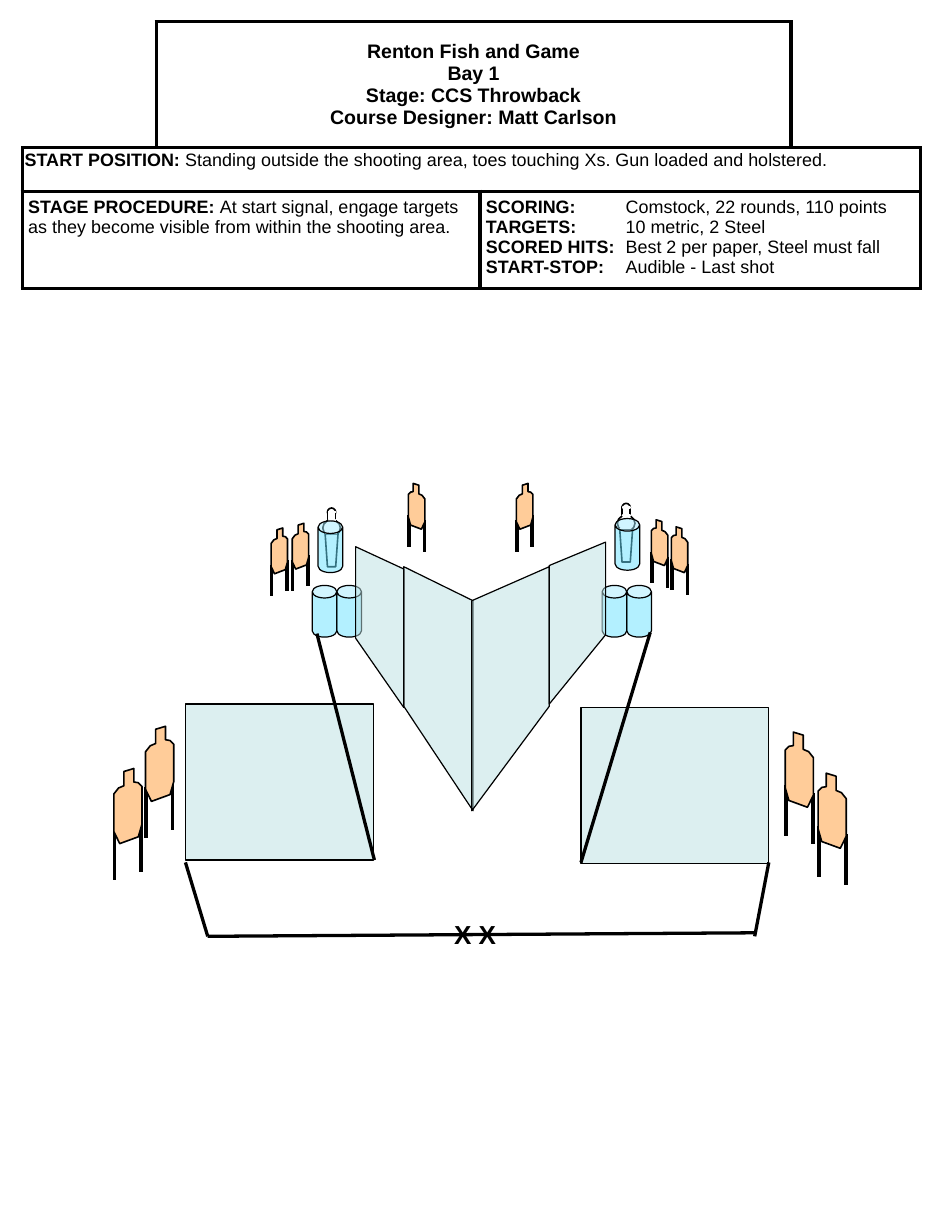
"""Build a one-page shooting stage plan with a briefing table and a course diagram."""
from lxml.etree import SubElement
from pptx import Presentation
from pptx.dml.color import RGBColor
from pptx.enum.shapes import MSO_CONNECTOR as CONN, MSO_SHAPE as SHAPE
from pptx.enum.text import MSO_ANCHOR as ANCHOR, PP_ALIGN as ALIGN
from pptx.oxml.ns import qn
from pptx.util import Inches, Pt

BLACK = RGBColor(0x00, 0x00, 0x00)
WHITE = RGBColor(0xFF, 0xFF, 0xFF)
WALL = RGBColor(0xBB, 0xE0, 0xE3)
BARREL = RGBColor(0x69, 0xE2, 0xFF)
TAN = RGBColor(0xFF, 0xCC, 0x99)

COLS = [1.14, 2.76, 2.65, 1.1]
ROWS = [1.08, 0.37, 0.83]
TITLE = ["Renton Fish and Game", "Bay 1", "Stage: CCS Throwback",
         "Course Designer: Matt Carlson"]
START = [("START POSITION:", " Standing outside the shooting area, toes touching Xs. "
          "Gun loaded and holstered.")]
PROCEDURE = [("STAGE PROCEDURE: ", "At start signal, engage targets as they become "
              "visible from within the shooting area.")]
SCORING = [("SCORING:", "\tComstock, 22 rounds, 110 points"),
           ("TARGETS:", "\t10 metric, 2 Steel"),
           ("SCORED HITS:", "\tBest 2 per paper, Steel must fall"),
           ("START-STOP:", "\tAudible - Last shot")]
CELLS = [
    dict(row=0, first=0, last=0, sides="RB"),
    dict(row=0, first=1, last=2, text=[(t, "") for t in TITLE], size=12,
         align=ALIGN.CENTER, anchor=ANCHOR.MIDDLE),
    dict(row=0, first=3, last=3, sides="LB"),
    dict(row=1, first=0, last=3, text=START, insets=(0.02, 0.04), spacing=0.9),
    dict(row=2, first=0, last=1, text=PROCEDURE),
    dict(row=2, first=2, last=3, text=SCORING, tab=1.19),
]

POPPERS = [(5.26, 4.29), (2.75, 4.33)]
INNER_WALLS = [
    [(3.44, 6.02), (4.03, 6.91), (4.03, 5.12), (3.44, 4.83)],
    [(4.68, 6.02), (4.02, 6.91), (4.02, 5.12), (4.68, 4.83)],
]
OUTER_WALLS = [
    [(3.03, 5.44), (3.44, 6.03), (3.44, 4.85), (3.03, 4.66)],
    [(5.16, 5.41), (4.68, 6), (4.68, 4.82), (5.16, 4.62)],
]
SIDE_WALLS = [(1.58, 6), (4.95, 6.03)]
BARRELS = [(2.66, 4.99), (2.87, 4.99), (5.13, 4.99), (5.34, 4.99),
           (2.71, 4.44), (5.24, 4.42)]
FAULT_LINES = [
    [(1.77, 7.98), (1.58, 7.35)], [(6.43, 7.98), (6.55, 7.35)],
    [(1.77, 7.98), (6.43, 7.95)],
    [(3.19, 7.33), (2.7, 5.4)], [(4.95, 7.35), (5.54, 5.39)],
]

SMALL, LARGE = (0.14, 0.39), (0.24, 0.64)
TARGETS = [
    (2.31, 4.5, SMALL, False), (2.49, 4.46, SMALL, False),
    (1.24, 6.19, LARGE, False), (0.97, 6.55, LARGE, False),
    (6.69, 6.24, LARGE, True), (6.97, 6.59, LARGE, True),
    (5.55, 4.43, SMALL, True), (5.72, 4.49, SMALL, True),
    (3.48, 4.12, SMALL, True), (4.4, 4.12, SMALL, False),
]
TARGET_OUTLINE = [(0.36, 0.04), (0.71, 0), (0.71, 0.18), (0.87, 0.19), (1, 0.24),
                  (1, 0.74), (0.87, 0.91), (0.21, 1), (0, 0.84), (0, 0.34),
                  (0.17, 0.26), (0.36, 0.23)]
TARGET_LEGS = [(0.02, 0.81, 1.49), (0.96, 0.7, 1.38)]


def style(sp, fill, line=BLACK, width=0.75, alpha=None):
    sp.shadow.inherit = False
    sp.fill.solid()
    sp.fill.fore_color.rgb = fill
    if alpha:
        color = sp.fill._xPr.find(qn("a:solidFill"))[0]
        SubElement(color, qn("a:alpha"), val=str(alpha * 1000))
    if line is None:
        sp.line.fill.background()
    else:
        sp.line.color.rgb = line
        sp.line.width = Pt(width)
    return sp


def shape(shapes, kind, x, y, w, h, *args, **kwargs):
    sp = shapes.add_shape(kind, *map(Inches, (x, y, w, h)))
    return style(sp, *args, **kwargs)


def outline(shapes, points, *args, **kwargs):
    first, *rest = [(Inches(x), Inches(y)) for x, y in points]
    builder = shapes.build_freeform(*first)
    builder.add_line_segments(rest, close=True)
    return style(builder.convert_to_shape(), *args, **kwargs)


def line(shapes, start, end, width):
    c = shapes.add_connector(CONN.STRAIGHT, *map(Inches, (*start, *end)))
    c.line.color.rgb = BLACK
    c.line.width = Pt(width)
    SubElement(c._element.spPr, qn("a:effectLst"))


def write(p, text, size, bold):
    r = p.add_run()
    r.text = text
    for name, value in dict(name="Arial", size=Pt(size), bold=bold).items():
        setattr(r.font, name, value)
    r.font.color.rgb = BLACK


def border(cell, sides):
    for side in sides:
        ln = SubElement(cell._tc.get_or_add_tcPr(), qn("a:ln" + side), w=str(Pt(2.25)))
        SubElement(SubElement(ln, qn("a:solidFill")), qn("a:srgbClr"), val=str(BLACK))


def add_briefing(shapes):
    frame = shapes.add_table(len(ROWS), len(COLS), Inches(0.19), Inches(0.18),
                             Inches(sum(COLS)), Inches(sum(ROWS)))
    table = frame.table
    table.first_row = table.horz_banding = False
    for col, w in zip(table.columns, COLS):
        col.width = Inches(w)
    for row, h in zip(table.rows, ROWS):
        row.height = Inches(h)
    for item in CELLS:
        row, first, last = item["row"], item["first"], item["last"]
        cell = table.cell(row, first)
        if last > first:
            cell.merge(table.cell(row, last))
        for col in range(first, last + 1):
            part = table.cell(row, col)
            border(part, item.get("sides", "LRTB"))
            part.fill.solid()
            part.fill.fore_color.rgb = WHITE
        side, top = map(Inches, item.get("insets", (0.05, 0.05)))
        cell.margin_left = cell.margin_right = side
        cell.margin_top = cell.margin_bottom = top
        cell.vertical_anchor = item.get("anchor", ANCHOR.TOP)
        tf = cell.text_frame
        for i, (label, value) in enumerate(item.get("text", [])):
            p = tf.add_paragraph() if i else tf.paragraphs[0]
            if "tab" in item:
                tabs = SubElement(p._p.get_or_add_pPr(), qn("a:tabLst"))
                SubElement(tabs, qn("a:tab"), pos=str(Inches(item["tab"])), algn="l")
            p.alignment = item.get("align", ALIGN.LEFT)
            p.line_spacing = item.get("spacing", 1.0)
            size = item.get("size", 11)
            write(p, label, size, True)
            if value:
                write(p, value, size, False)


def add_popper(shapes, x, y):
    g = shapes.add_group_shape().shapes
    shape(g, SHAPE.OVAL, x + 0.04, y, 0.07, 0.07, WHITE, width=1)
    shape(g, SHAPE.OVAL, x, y + 0.1, 0.15, 0.14, WHITE, width=1)
    body = [(0.02, 0.22), (0.13, 0.22), (0.11, 0.5), (0.04, 0.5)]
    outline(g, [(x + dx, y + dy) for dx, dy in body], WHITE, width=1)
    shape(g, SHAPE.RECTANGLE, x + 0.04, y + 0.03, 0.07, 0.07, WHITE, width=1)
    shape(g, SHAPE.RECTANGLE, x + 0.02, y + 0.21, 0.1, 0.01, WHITE, None)
    for dy in (0.1, 0.03):
        shape(g, SHAPE.RECTANGLE, x + 0.05, y + dy, 0.06, 0.01, WHITE, WHITE, 1)


def add_target(shapes, x, y, size, mirrored):
    w, h = size

    def place(fx, fy):
        return x + w * (1 - fx if mirrored else fx), y + h * fy

    g = shapes.add_group_shape().shapes
    for fx, top, bottom in TARGET_LEGS:
        line(g, place(fx, top), place(fx, bottom), 2.25)
    outline(g, [place(*pt) for pt in TARGET_OUTLINE], TAN, width=1)


def main():
    prs = Presentation()
    prs.slide_width, prs.slide_height = Inches(8), Inches(10.5)
    shapes = prs.slides.add_slide(prs.slide_layouts[6]).shapes
    for x, y in POPPERS:
        add_popper(shapes, x, y)
    add_briefing(shapes)
    for points in INNER_WALLS:
        outline(shapes, points, WALL, alpha=50)
    for x, y in SIDE_WALLS:
        shape(shapes, SHAPE.RECTANGLE, x, y, 1.6, 1.33, WALL, alpha=50)
    for x, y in BARRELS:
        can = shape(shapes, SHAPE.CAN, x, y, 0.21, 0.44, BARREL, alpha=50)
        can.adjustments[0] = 0.51
    for points in OUTER_WALLS:
        outline(shapes, points, WALL, alpha=50)
    for target in TARGETS:
        add_target(shapes, *target)
    for start, end in FAULT_LINES:
        line(shapes, start, end, 2)
    tf = shapes.add_textbox(*map(Inches, (3.77, 7.78, 0.58, 0.37))).text_frame
    write(tf.paragraphs[0], "X X", 16, True)
    prs.save("out.pptx")


if __name__ == "__main__":
    main()
